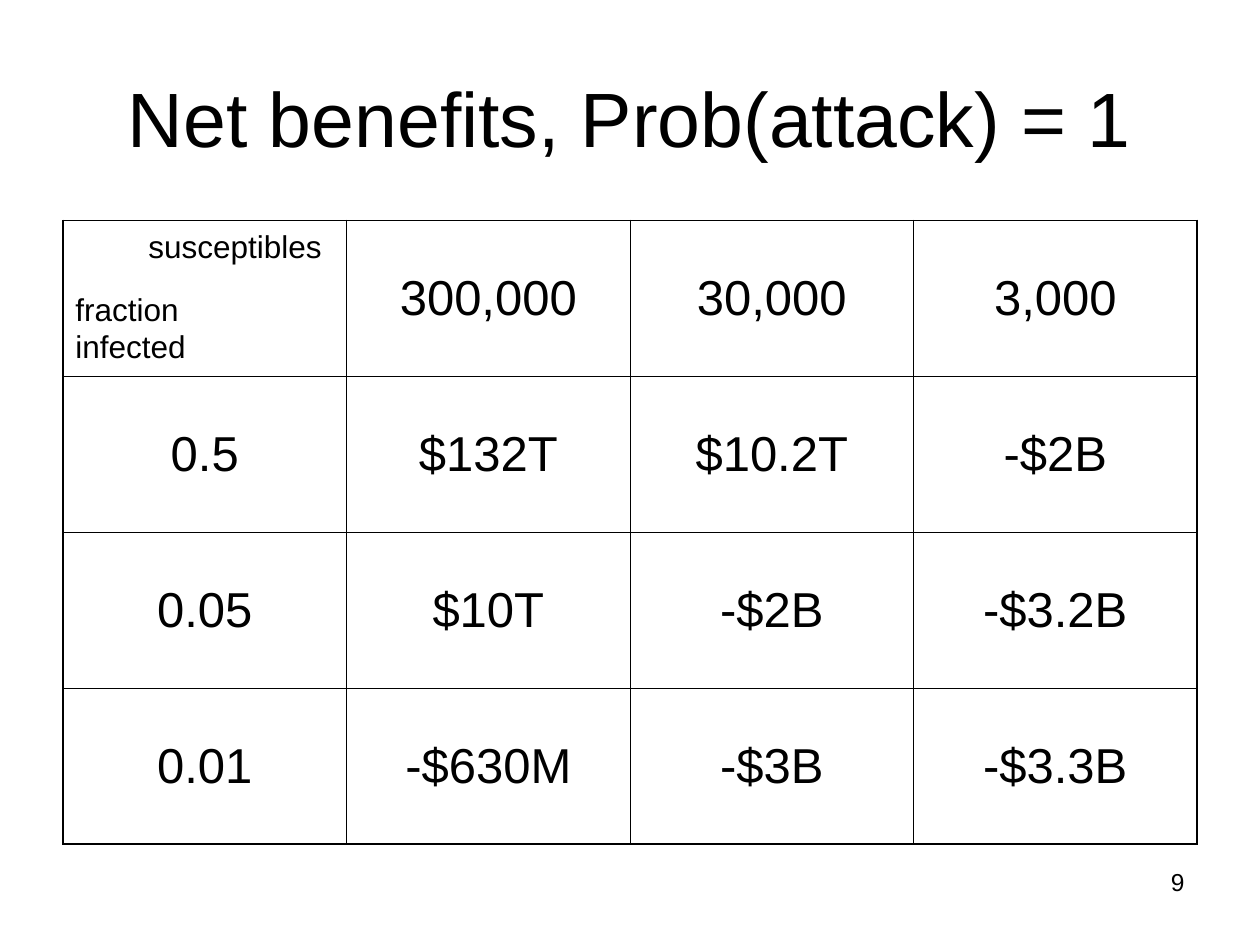
from lxml import etree
from pptx import Presentation
from pptx.dml.color import RGBColor
from pptx.enum.text import MSO_ANCHOR, PP_ALIGN
from pptx.oxml.ns import qn
from pptx.util import Inches, Pt

LEFT, CENTER, RIGHT = PP_ALIGN.LEFT, PP_ALIGN.CENTER, PP_ALIGN.RIGHT
MIDDLE = MSO_ANCHOR.MIDDLE
FONT, BLACK = "Arial", "000000"
THIN, THICK = 0.45, 1.08
MARGIN, TABLE_TOP, COL_W, ROW_H = 0.5, 1.75, 2.25, 1.2375
ROWS = [
    ["", "300,000", "30,000", "3,000"],
    ["0.5", "$132T", "$10.2T", "-$2B"],
    ["0.05", "$10T", "-$2B", "-$3.2B"],
    ["0.01", "-$630M", "-$3B", "-$3.3B"],
]


def color(hex_string):
    return RGBColor.from_string(hex_string)


def write(tf, text, size, align):
    tf.word_wrap = True
    p = tf.paragraphs[0]
    p.text = text
    p.alignment = align
    p.font.name, p.font.size = FONT, Pt(size)
    p.font.bold = False
    p.font.color.rgb = color(BLACK)


def add_title(s, text):
    title = s.shapes.title
    title.left, title.top = Inches(MARGIN), Inches(0.3)
    title.width, title.height = Inches(4 * COL_W), Inches(1.25)
    title.text_frame.vertical_anchor = MIDDLE
    write(title.text_frame, text, 44, CENTER)


def add_text(s, text, left, top, width, height, size, align=LEFT):
    box = s.shapes.add_textbox(*map(Inches, (left, top, width, height)))
    write(box.text_frame, text, size, align)


def set_borders(cell, widths):
    """Draw the left, right, top and bottom borders in the given point widths."""
    tcPr = cell._tc.get_or_add_tcPr()
    for side, width in zip("LRTB", widths):
        ln = etree.SubElement(tcPr, qn(f"a:ln{side}"), w=str(Pt(width)))
        fill = etree.SubElement(ln, qn("a:solidFill"))
        etree.SubElement(fill, qn("a:srgbClr"), val=BLACK)


def add_benefit_table(s, rows):
    n_rows, n_cols = len(rows), len(rows[0])
    table = s.shapes.add_table(
        n_rows, n_cols, Inches(MARGIN), Inches(TABLE_TOP),
        Inches(n_cols * COL_W), Inches(n_rows * ROW_H)).table
    table.first_row = table.horz_banding = False
    for i, row in enumerate(rows):
        for j, text in enumerate(row):
            cell = table.cell(i, j)
            outer = (j == 0, j == n_cols - 1, i == 0, i == n_rows - 1)
            set_borders(cell, [THICK if edge else THIN for edge in outer])
            cell.fill.background()
            cell.vertical_anchor = MIDDLE
            write(cell.text_frame, text, 28, CENTER)


def main():
    prs = Presentation()
    prs.slide_width, prs.slide_height = Inches(10), Inches(7.5)
    s = prs.slides.add_slide(prs.slide_layouts[5])
    add_title(s, "Net benefits, Prob(attack) = 1")
    add_benefit_table(s, ROWS)
    add_text(s, "susceptibles", 1.08, TABLE_TOP, 1.83, 0.4, 18)
    add_text(s, "fraction infected", MARGIN, TABLE_TOP + 0.5, 1.58, 0.7, 18)
    add_text(s, "9", 7.17, 6.83, 2.33, 0.52, 14, RIGHT)
    prs.save("out.pptx")


if __name__ == "__main__":
    main()
